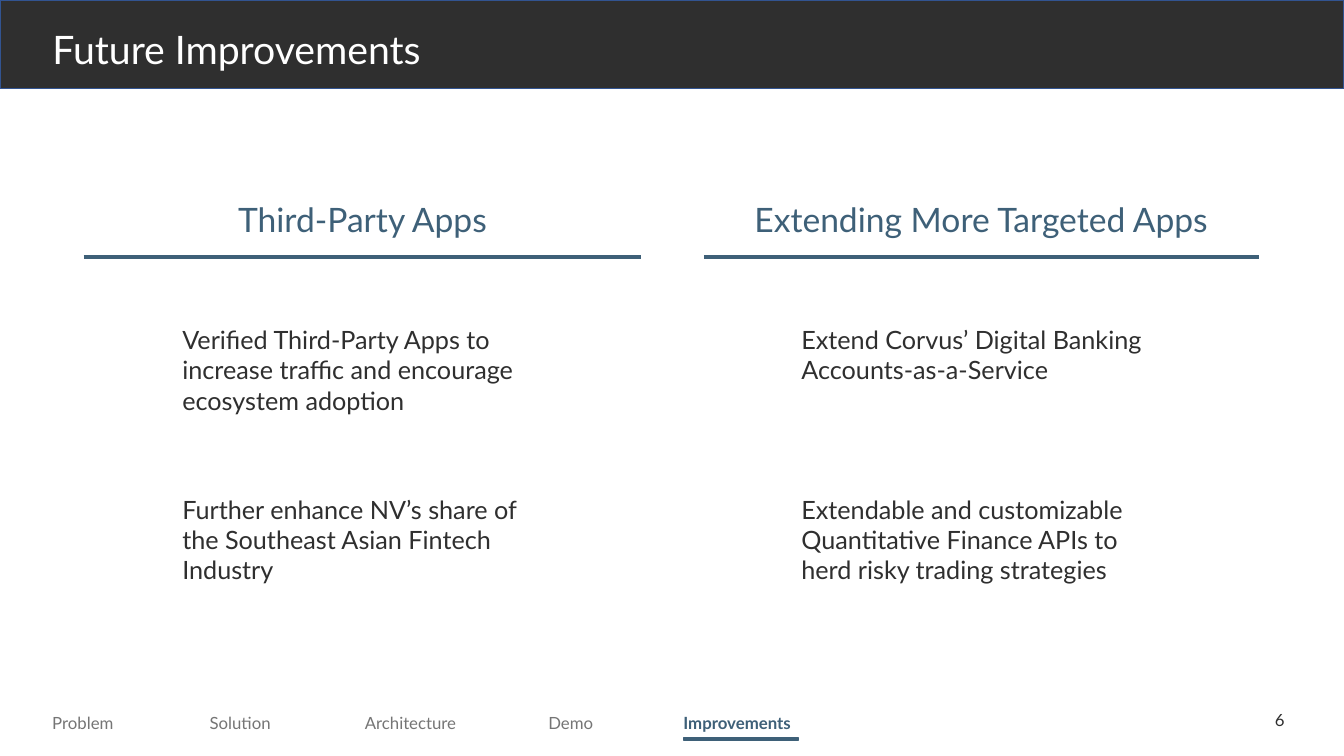
from dataclasses import dataclass

from lxml import etree
from pptx import Presentation
from pptx.dml.color import RGBColor
from pptx.enum.shapes import MSO_CONNECTOR, MSO_SHAPE
from pptx.enum.text import MSO_ANCHOR, MSO_AUTO_SIZE, PP_ALIGN
from pptx.oxml.ns import qn
from pptx.util import Inches, Pt

RECTANGLE = MSO_SHAPE.RECTANGLE
STRAIGHT = MSO_CONNECTOR.STRAIGHT
TOP, MIDDLE = MSO_ANCHOR.TOP, MSO_ANCHOR.MIDDLE
LEFT, CENTER, RIGHT = PP_ALIGN.LEFT, PP_ALIGN.CENTER, PP_ALIGN.RIGHT
NO_AUTOFIT = MSO_AUTO_SIZE.NONE

FONT = "Lato"
DARK, BLUE, GREY, WHITE, OUTLINE = "2F2F2F", "3E6078", "757575", "FFFFFF", "325491"
NAVIGATION_TOP, HEADING_TOP, RULE_TOP = 7.02, 1.92, 2.55
POINT_TOPS = (3.17, 4.85)
POINT_WIDTH, POINT_HEIGHT = 3.77, 1.01


@dataclass
class NavigationItem:
    label: str
    left: float
    width: float
    active: bool = False


@dataclass
class Column:
    heading: str
    heading_left: float
    heading_width: float
    rule_start: float
    rule_end: float
    points_left: float
    points: tuple[str, ...]


NAVIGATION = (
    NavigationItem("Problem", 0.42, 0.86),
    NavigationItem("Solution", 1.98, 0.82),
    NavigationItem("Architecture", 3.52, 1.13),
    NavigationItem("Demo", 5.34, 0.65),
    NavigationItem("Improvements", 6.68, 1.33, True),
)

COLUMNS = (
    Column("Third-Party Apps", 2.2, 2.79, 0.83, 6.36, 1.71, (
        "Verified Third-Party Apps to increase traffic and encourage ecosystem adoption",
        "Further enhance NV’s share of the Southeast Asian Fintech Industry",
    )),
    Column("Extending More Targeted Apps", 6.97, 5.52, 6.98, 12.49, 7.85, (
        "Extend Corvus’ Digital Banking Accounts-as-a-Service",
        "Extendable and customizable Quantitative Finance APIs to herd risky trading strategies",
    )),
)


def color(value: str) -> RGBColor:
    return RGBColor.from_string(value)


def write(shape, text: str, size: float, text_color: str, bold: bool = False,
          align=LEFT, anchor=TOP, wrap: bool = True) -> None:
    frame = shape.text_frame
    frame_format = {"word_wrap": wrap, "auto_size": NO_AUTOFIT, "vertical_anchor": anchor}
    for name, value in frame_format.items():
        setattr(frame, name, value)
    paragraph = frame.paragraphs[0]
    paragraph.alignment = align
    run = paragraph.add_run()
    run.text = text
    for name, value in {"name": FONT, "size": Pt(size), "bold": bold}.items():
        setattr(run.font, name, value)
    run.font.color.rgb = color(text_color)


def add_text(slide, left: float, top: float, width: float, height: float,
             text: str, size: float, text_color: str, **options) -> None:
    box = slide.shapes.add_textbox(Inches(left), Inches(top), Inches(width), Inches(height))
    write(box, text, size, text_color, **options)


def add_bar(slide, left: float, top: float, width: float, height: float,
            fill: str, line: str) -> None:
    bar = slide.shapes.add_shape(
        RECTANGLE, Inches(left), Inches(top), Inches(width), Inches(height))
    bar.shadow.inherit = False
    bar.fill.solid()
    bar.fill.fore_color.rgb = color(fill)
    bar.line.color.rgb = color(line)
    bar.line.width = Pt(1)


def add_rule(slide, start: float, end: float, top: float) -> None:
    rule = slide.shapes.add_connector(
        STRAIGHT, Inches(start), Inches(top), Inches(end), Inches(top))
    rule.line.color.rgb = color(BLUE)
    rule.line.width = Pt(2.25)
    etree.SubElement(rule._element.spPr, qn("a:effectLst"))


def add_title(slide, text: str) -> None:
    title = slide.shapes.title
    position = {"left": 0.42, "top": 0.18, "width": 10.82, "height": 0.66}
    for name, value in position.items():
        setattr(title, name, Inches(value))
    write(title, text, 28, WHITE, anchor=MIDDLE)
    title.text_frame.paragraphs[0].line_spacing = 0.9
    slide.shapes._spTree.append(title._element)


def add_navigation(slide) -> None:
    for item in NAVIGATION:
        add_text(slide, item.left, NAVIGATION_TOP, item.width, 0.3, item.label, 12,
                 BLUE if item.active else GREY, bold=item.active, wrap=False)
        if item.active:
            add_bar(slide, item.left + 0.1, 7.32, 1.14, 0.02, BLUE, BLUE)


def add_column(slide, column: Column) -> None:
    add_text(slide, column.heading_left, HEADING_TOP, column.heading_width, 0.5,
             column.heading, 24, BLUE, align=CENTER, wrap=False)
    add_rule(slide, column.rule_start, column.rule_end, RULE_TOP)
    for top, point in zip(POINT_TOPS, column.points):
        add_text(slide, column.points_left, top, POINT_WIDTH, POINT_HEIGHT, point, 18, DARK)


def main() -> None:
    presentation = Presentation()
    presentation.slide_width = Inches(13.33)
    presentation.slide_height = Inches(7.5)
    slide = presentation.slides.add_slide(presentation.slide_layouts[5])
    add_navigation(slide)
    add_bar(slide, 0, 0, 13.33, 0.88, DARK, OUTLINE)
    add_text(slide, 9.84, 6.94, 3, 0.4, "6", 12, DARK, align=RIGHT, anchor=MIDDLE)
    add_title(slide, "Future Improvements")
    for column in COLUMNS:
        add_column(slide, column)
    presentation.save("out.pptx")


if __name__ == "__main__":
    main()
